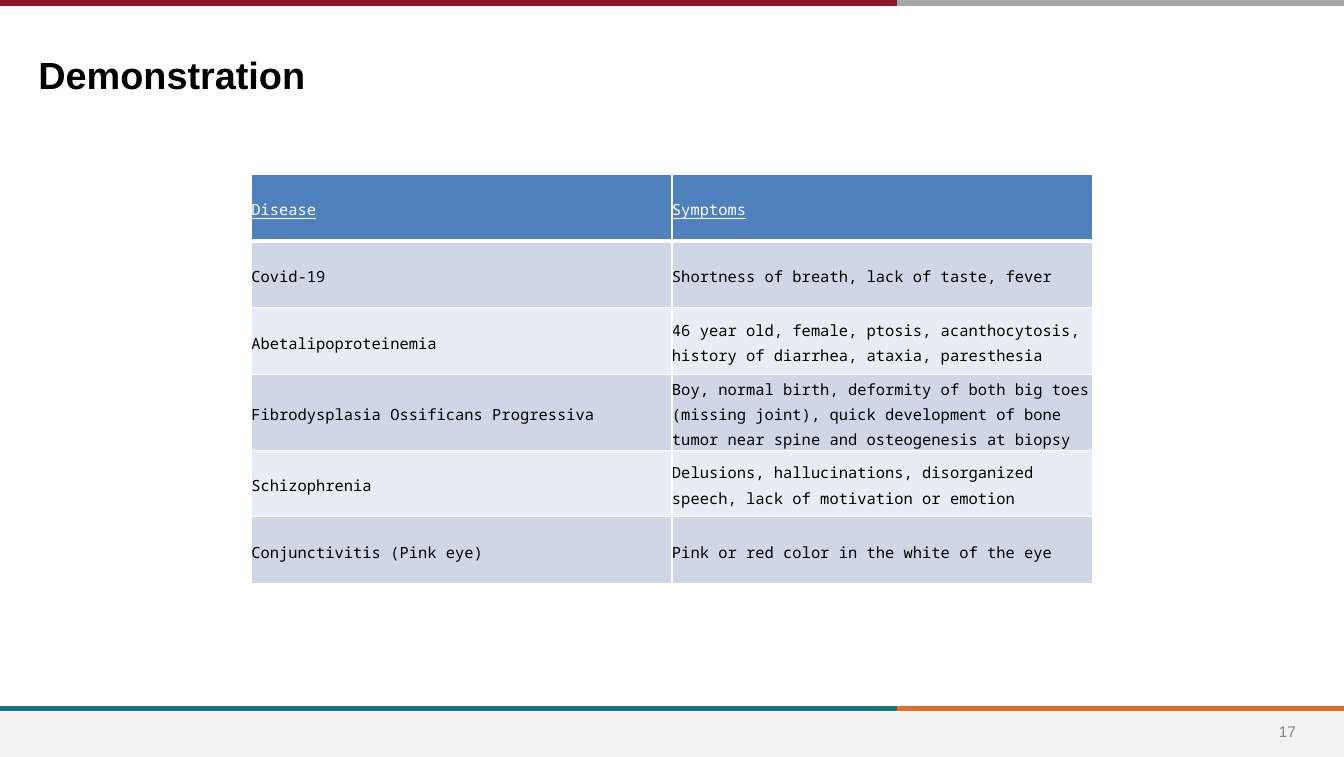
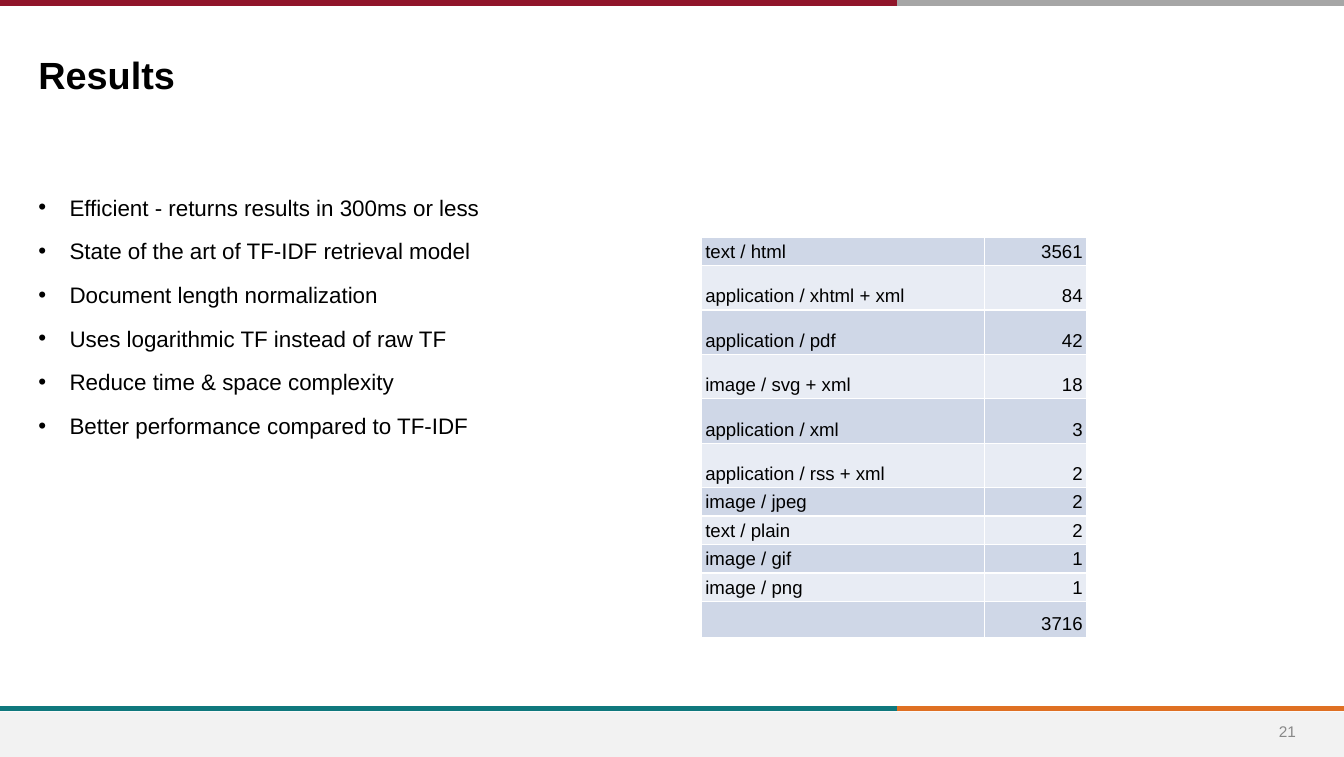
from lxml.etree import SubElement
from pptx import Presentation
from pptx.dml.color import RGBColor
from pptx.enum.shapes import MSO_CONNECTOR as CONN, MSO_SHAPE as SHAPE
from pptx.enum.text import MSO_ANCHOR as ANCHOR, MSO_AUTO_SIZE as AUTO, PP_ALIGN as ALIGN
from pptx.oxml.ns import qn
from pptx.util import Inches, Pt

BLACK, WHITE, GREY = "000000", "FFFFFF", "888888"
BANDS = ("CFD7E7", "E8ECF4")
HEADER = "4F81BD"
FOOTER = "F2F2F2"
RULES = ((0.03, "90152A", "A6A6A6"), (7.02, "0F787D", "DF7023"))
WIDTH, SPLIT = 13.33, 8.89
SANS, MONO = "Arial", "Noto Sans Mono"


def rgb(color):
    return RGBColor.from_string(color)


class Deck:
    def __init__(self):
        self.prs = Presentation()
        self.prs.slide_width = Inches(13.32)
        self.prs.slide_height = Inches(7.5)
        self.s = None

    def slide(self, title, number):
        self.s = self.prs.slides.add_slide(self.prs.slide_layouts[6])
        self.footer_band()
        for y, left, right in RULES:
            self.rule(SPLIT, WIDTH, y, right)
            self.rule(0, SPLIT, y, left)
        tf = self.text_box(0.33, 0.46, 10.65, 0.59)
        self.run(tf.paragraphs[0], title, 27, bold=True)
        self.page_number(number)

    def footer_band(self):
        sp = self.s.shapes.add_shape(
            SHAPE.RECTANGLE, Inches(0), Inches(7.05), Inches(WIDTH), Inches(0.45))
        sp.shadow.inherit = False
        sp.fill.solid()
        sp.fill.fore_color.rgb = rgb(FOOTER)
        sp.line.fill.background()

    def rule(self, x1, x2, y, color):
        c = self.s.shapes.add_connector(
            CONN.STRAIGHT, Inches(x1), Inches(y), Inches(x2), Inches(y))
        c.line.color.rgb = rgb(color)
        c.line.width = Pt(4)
        SubElement(c._element.spPr, qn("a:effectLst"))

    def text_box(self, x, y, w, h):
        sp = self.s.shapes.add_textbox(Inches(x), Inches(y), Inches(w), Inches(h))
        tf = sp.text_frame
        tf.word_wrap = True
        tf.margin_left = tf.margin_right = Inches(0.05)
        tf.margin_top = tf.margin_bottom = Inches(0.05)
        return tf

    def run(self, p, text, size, font=SANS, color=BLACK, bold=False, underline=False):
        r = p.add_run()
        r.text = text
        r.font.size = Pt(size)
        r.font.name = font
        r.font.color.rgb = rgb(color)
        r.font.bold = bold
        r.font.underline = underline

    def page_number(self, number):
        tf = self.text_box(12.62, 7.12, 0.28, 0.26)
        tf.word_wrap = False
        tf.auto_size = AUTO.SHAPE_TO_FIT_TEXT
        tf.vertical_anchor = ANCHOR.MIDDLE
        p = tf.paragraphs[0]
        p.alignment = ALIGN.CENTER
        self.run(p, str(number), 11, color=GREY)

    def bullets(self, x, y, w, h, items):
        tf = self.text_box(x, y, w, h)
        for i, item in enumerate(items):
            p = tf.add_paragraph() if i else tf.paragraphs[0]
            p.space_before = Pt(12)
            pPr = p._p.get_or_add_pPr()
            pPr.set("marL", str(Inches(0.31)))
            pPr.set("indent", str(-Inches(0.31)))
            SubElement(pPr, qn("a:buFont"), typeface=SANS)
            SubElement(pPr, qn("a:buChar"), char="•")
            self.run(p, item, 16)

    def borders(self, cell, top, bottom):
        tcPr = cell._tc.get_or_add_tcPr()
        for side, width in (("L", 1), ("R", 1), ("T", top), ("B", bottom)):
            ln = SubElement(tcPr, qn(f"a:ln{side}"), w=str(Pt(width)))
            fill = SubElement(ln, qn("a:solidFill"))
            SubElement(fill, qn("a:srgbClr"), val=WHITE)

    def table(self, x, y, cols, heights, rows, size, font=SANS, header=False,
              anchor=ANCHOR.MIDDLE, margins=(0, 0), spacing=None, last_align=None):
        tbl = self.s.shapes.add_table(
            len(rows), len(cols), Inches(x), Inches(y),
            Inches(sum(cols)), Inches(sum(heights))).table
        tbl.first_row = tbl.horz_banding = False
        for col, width in zip(tbl.columns, cols):
            col.width = Inches(width)
        for i, (row, height, texts) in enumerate(zip(tbl.rows, heights, rows)):
            row.height = Inches(height)
            is_head = header and i == 0
            top = 3 if header and i == 1 else 1
            band = HEADER if is_head else BANDS[(i - header) % 2]
            for j, (cell, text) in enumerate(zip(row.cells, texts)):
                self.borders(cell, top, 3 if is_head else 1)
                cell.fill.solid()
                cell.fill.fore_color.rgb = rgb(band)
                cell.vertical_anchor = anchor
                cell.margin_left = cell.margin_right = Inches(margins[0])
                cell.margin_top = cell.margin_bottom = Inches(margins[1])
                if not text:
                    continue
                p = cell.text_frame.paragraphs[0]
                p.line_spacing = spacing
                if j == len(cols) - 1:
                    p.alignment = last_align
                self.run(p, text, size, font, WHITE if is_head else BLACK,
                         underline=is_head)


def main():
    deck = Deck()

    deck.slide("Demonstration", 17)
    diseases = [
        ("Disease", "Symptoms"),
        ("Covid-19", "Shortness of breath, lack of taste, fever"),
        ("Abetalipoproteinemia",
         "46 year old, female, ptosis, acanthocytosis, history of diarrhea, "
         "ataxia, paresthesia"),
        ("Fibrodysplasia Ossificans Progressiva",
         "Boy, normal birth, deformity of both big toes (missing joint), quick "
         "development of bone tumor near spine and osteogenesis at biopsy"),
        ("Schizophrenia",
         "Delusions, hallucinations, disorganized speech, lack of motivation "
         "or emotion"),
        ("Conjunctivitis (Pink eye)", "Pink or red color in the white of the eye"),
    ]
    deck.table(2.49, 1.73, [4.17] * 2, [0.66] * 3 + [0.75] + [0.66] * 2, diseases,
               11, font=MONO, header=True, spacing=1.2)

    deck.slide("Results", 21)
    deck.bullets(0.33, 1.87, 12.67, 4.8, [
        "Efficient - returns results in 300ms or less",
        "State of the art of TF-IDF retrieval model",
        "Document length normalization",
        "Uses logarithmic TF instead of raw TF",
        "Reduce time & space complexity",
        "Better performance compared to TF-IDF",
    ])
    counts = [
        ("text / html", "3561"),
        ("application / xhtml + xml", "84"),
        ("application / pdf", "42"),
        ("image / svg + xml", "18"),
        ("application / xml", "3"),
        ("application / rss + xml", "2"),
        ("image / jpeg", "2"),
        ("text / plain", "2"),
        ("image / gif", "1"),
        ("image / png", "1"),
        ("", "3716"),
    ]
    deck.table(6.95, 2.35, [2.81, 1.01], [0.27] + [0.44] * 5 + [0.27] * 4 + [0.35],
               counts, 13.3, anchor=ANCHOR.BOTTOM, margins=(0.04, 0.03),
               last_align=ALIGN.RIGHT)

    deck.prs.save("out.pptx")


if __name__ == "__main__":
    main()
